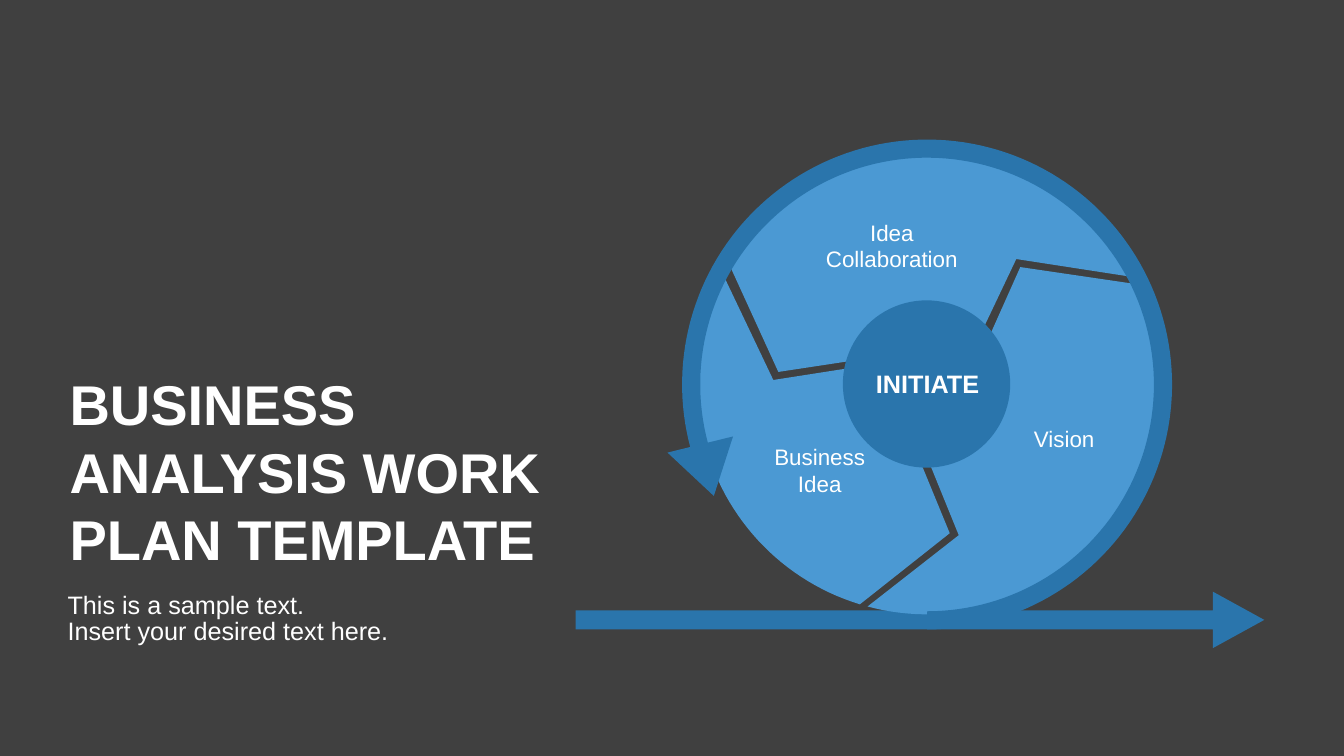
from dataclasses import dataclass
from math import cos, radians, sin

from pptx import Presentation
from pptx.dml.color import RGBColor
from pptx.enum.shapes import MSO_SHAPE
from pptx.enum.text import MSO_ANCHOR, PP_ALIGN
from pptx.util import Emu, Pt

PX = 9144  # EMU in one px, 100 px to the inch
COLORS = {"back": "404040", "dark": "2A75AC", "light": "4B99D3", "text": "FFFFFF"}
FONT = "Arial"
LEFT, CENTER = PP_ALIGN.LEFT, PP_ALIGN.CENTER
TOP, BOTTOM = MSO_ANCHOR.TOP, MSO_ANCHOR.BOTTOM
ARROW, OVAL = MSO_SHAPE.RIGHT_ARROW, MSO_SHAPE.OVAL

Point = tuple[float, float]
WHEEL_CENTER = (919.5, 381.5)
WHEEL_RADIUS, HOLE_RADIUS = 228, 72
RING_OUTER, RING_INNER = 243, 225


@dataclass
class Segment:
    """Wheel part: arcs in degrees, clockwise from the right, and two notch corners."""
    outer: tuple[int, int]
    end_corner: Point
    inner: tuple[int, int]
    start_corner: Point


@dataclass
class Label:
    text: str
    box: tuple[int, int, int, int]
    size: int
    bold: bool = False
    align: PP_ALIGN = CENTER
    anchor: MSO_ANCHOR = TOP
    margin: int = 5
    line_spacing: float | None = None
    space_before: float = 0


SEGMENTS = [
    Segment((107, 208), (767, 377), (194, 97), (942, 529)),
    Segment((211, 332), (1008, 257), (317, 200), (772, 369)),
    Segment((-26, 105), (951, 531), (90, -35), (1012, 265)),
]

LABELS = [
    Label("BUSINESS\vANALYSIS WORK PLAN TEMPLATE", (69, 333, 598, 234), 40,
          bold=True, align=LEFT, anchor=BOTTOM, margin=0),
    Label("This is a sample text.\nInsert your desired text here.", (67, 586, 599, 81), 18,
          align=LEFT, margin=7, line_spacing=0.7, space_before=3.6),
    Label("Idea\nCollaboration", (760, 212, 249, 64), 16),
    Label("INITIATE", (858, 360, 124, 40), 18, bold=True),
    Label("Vision", (993, 417, 125, 49), 16),
    Label("Business\nIdea", (692, 435, 242, 84), 16),
]


def px(length: float) -> Emu:
    return Emu(round(length * PX))


def color(name: str) -> RGBColor:
    return RGBColor.from_string(COLORS[name])


def arc(radius: int, start: int, end: int) -> list[Point]:
    """Points two degrees apart, or slightly less, on a circle around the wheel centre."""
    steps = max(1, round(abs(end - start) / 2))
    angles = [radians(start + (end - start) * step / steps) for step in range(steps + 1)]
    x, y = WHEEL_CENTER
    return [(x + radius * cos(angle), y + radius * sin(angle)) for angle in angles]


def paint(shape, fill: str) -> None:
    shape.shadow.inherit = False
    shape.fill.solid()
    shape.fill.fore_color.rgb = color(fill)
    shape.line.fill.background()


def add_outline(page, points: list[Point], fill: str) -> None:
    corners = [(px(x), px(y)) for x, y in points]
    builder = page.shapes.build_freeform(*corners[0], scale=1.0)
    builder.add_line_segments(corners[1:], close=True)
    paint(builder.convert_to_shape(), fill)


def add_segment(page, segment: Segment) -> None:
    points = arc(WHEEL_RADIUS, *segment.outer) + [segment.end_corner]
    points += arc(HOLE_RADIUS, *segment.inner) + [segment.start_corner]
    add_outline(page, points, "light")


def add_label(page, label: Label) -> None:
    frame = page.shapes.add_textbox(*map(px, label.box)).text_frame
    frame.word_wrap = True
    frame.vertical_anchor = label.anchor
    frame.margin_left = frame.margin_right = 0
    frame.margin_top = frame.margin_bottom = px(label.margin)
    frame.text = label.text
    for index, para in enumerate(frame.paragraphs):
        para.alignment = label.align
        para.line_spacing = label.line_spacing
        para.space_before = Pt(label.space_before if index else 0)
        for span in para.runs:
            span.font.name = FONT
            span.font.size = Pt(label.size)
            span.font.bold = label.bold
            span.font.color.rgb = color("text")


def main() -> None:
    deck = Presentation()
    deck.slide_width, deck.slide_height = px(1333), px(750)
    page = deck.slides.add_slide(deck.slide_layouts[6])
    page.background.fill.solid()
    page.background.fill.fore_color.rgb = color("back")

    base_arrow = page.shapes.add_shape(ARROW, px(571), px(587), px(683), px(56))
    base_arrow.adjustments[0], base_arrow.adjustments[1] = 0.34, 0.91
    paint(base_arrow, "dark")

    for segment in SEGMENTS:
        add_segment(page, segment)
    ring = arc(RING_OUTER, 163, 450) + arc(RING_INNER, 450, 163)
    add_outline(page, ring, "dark")
    ring_arrowhead = [(727, 433), (708, 492), (662, 449)]
    add_outline(page, ring_arrowhead, "dark")
    paint(page.shapes.add_shape(OVAL, px(836), px(298), px(166), px(166)), "dark")

    for label in LABELS:
        add_label(page, label)
    deck.save("out.pptx")


if __name__ == "__main__":
    main()
